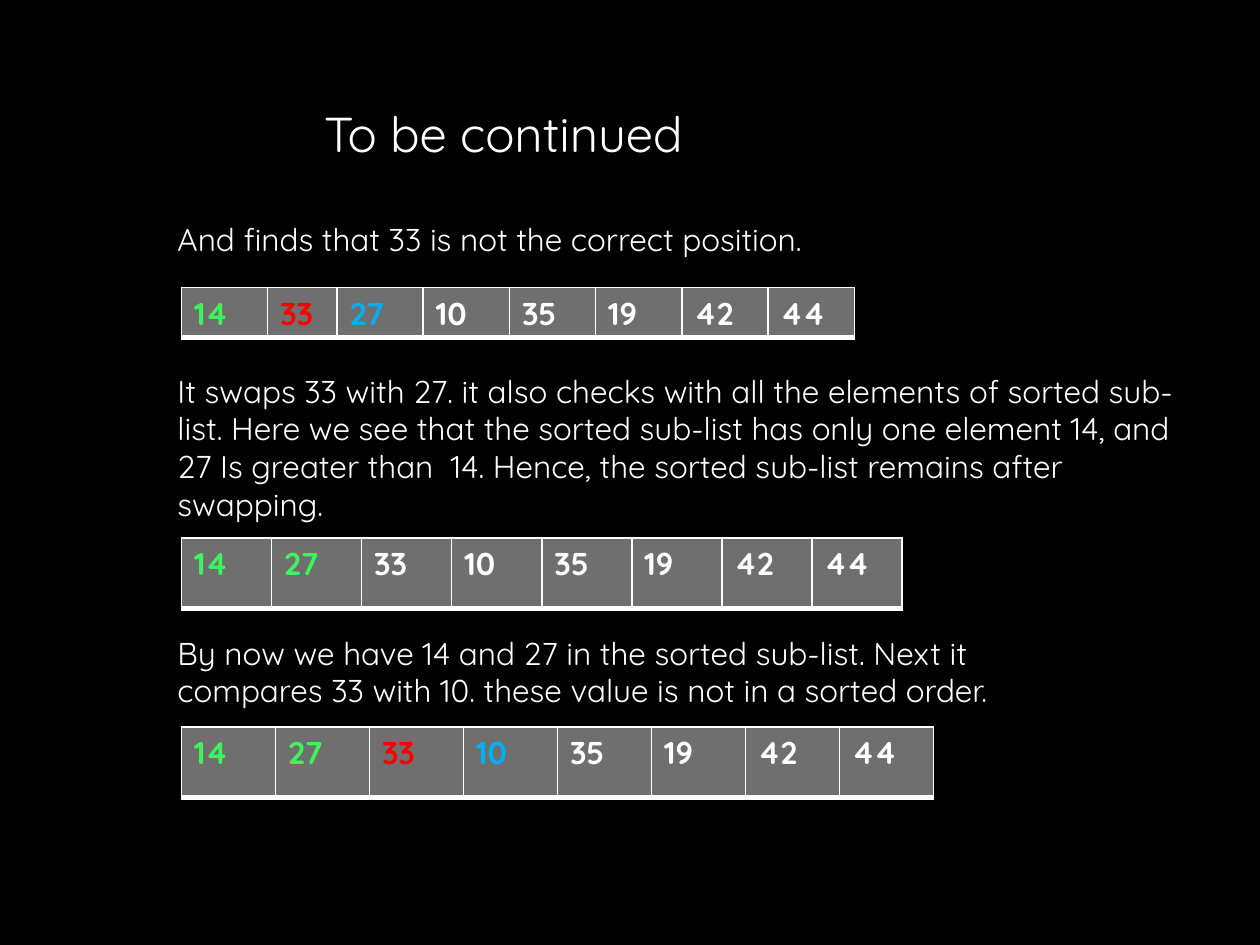
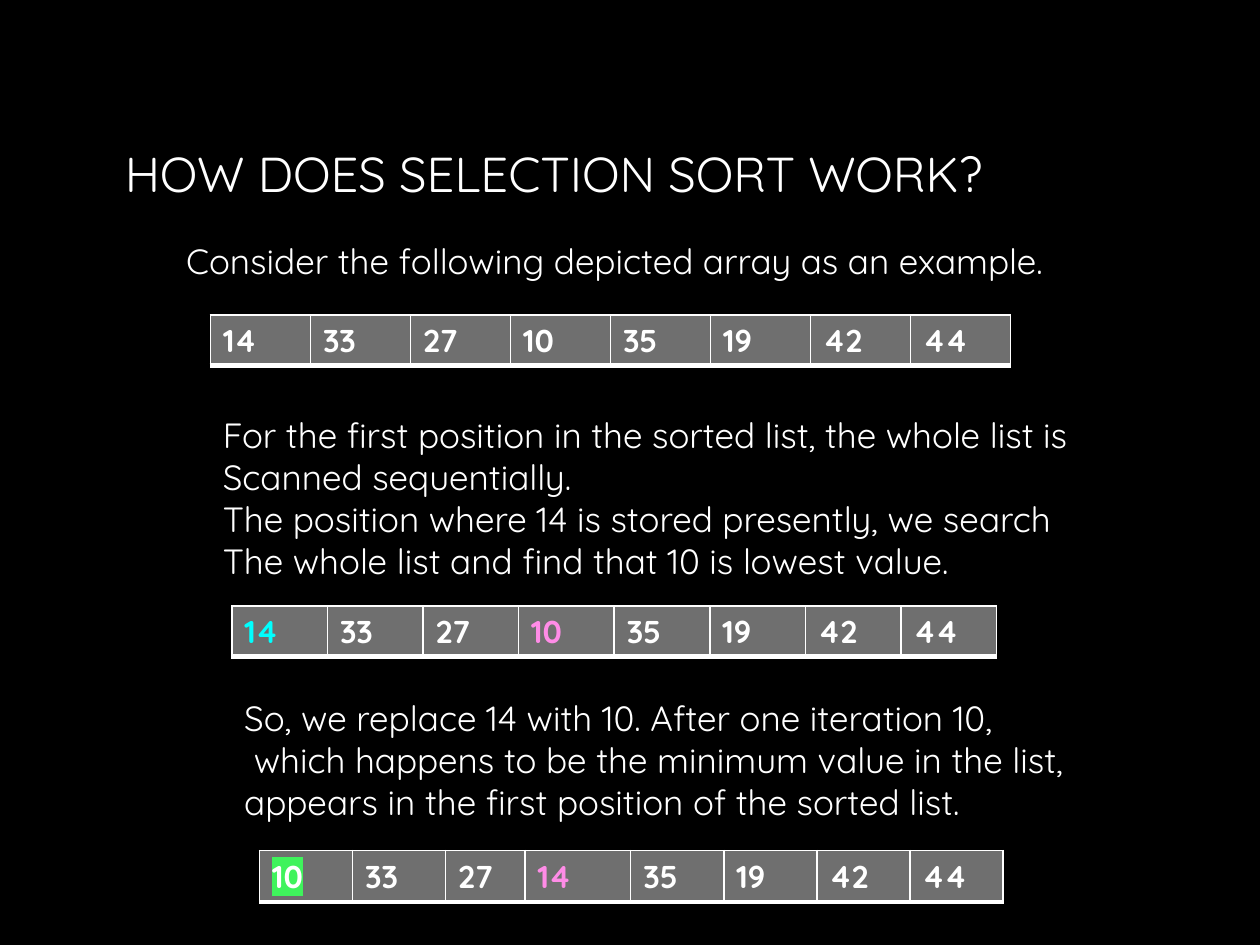
import pptx
import pptx.dml.color
import pptx.enum.text
import pptx.oxml
import pptx.oxml.ns
import pptx.util
from pptx.util import Inches

# Shared look
FONT = "Quicksand"
COLORS = {
    "black": "000000", "white": "FFFFFF", "grey": "6F6F6F",
    "green": "3FF35C", "red": "FF0000", "blue": "00B0F0",
    "cyan": "00FFFE", "pink": "FF8CE7",
}
BORDERS = {"lnL": 1, "lnR": 1, "lnT": 1, "lnB": 3}
TITLE_SIZE, CELL_SIZE = 28, 18
ALIGN = pptx.enum.text.PP_ALIGN
ANCHOR = pptx.enum.text.MSO_ANCHOR

# Content: boxes are (left, top, width, height) in inches.
# In an array, "marks" colours values, "widths" fixes single columns by index.
SLIDES = [
    {
        "title": {"text": "To be continued", "box": (2.33, 0.77, 3.33, 0.57),
                  "align": ALIGN.CENTER, "anchor": ANCHOR.TOP},
        "size": 18,
        "texts": [
            ((1.31, 1.7, 5.48, 0.4),
             ["And finds that 33 is not the correct position."]),
            ((1.31, 2.9, 8.21, 1.31),
             ["It swaps 33 with 27. it also checks with all the elements of "
              "sorted sub-list. Here we see that the sorted sub-list has only "
              "one element 14, and 27 Is greater than  14. Hence, the sorted "
              "sub-list remains after swapping."]),
            ((1.31, 4.98, 7.67, 0.71),
             ["By now we have 14 and 27 in the sorted sub-list. Next it "
              "compares 33 with 10. these value is not in a sorted order."]),
        ],
        "arrays": [
            {"box": (1.44, 2.28, 5.34, 0.4), "widths": {1: 0.55},
             "values": [14, 33, 27, 10, 35, 19, 42, 44],
             "marks": {14: "green", 33: "red", 27: "blue"}},
            {"box": (1.44, 4.27, 5.72, 0.56),
             "values": [14, 27, 33, 10, 35, 19, 42, 44],
             "marks": {14: "green", 27: "green"}},
            {"box": (1.44, 5.77, 5.97, 0.56),
             "values": [14, 27, 33, 10, 35, 19, 42, 44],
             "marks": {14: "green", 27: "green", 33: "red", 10: "blue"}},
        ],
    },
    {
        "title": {"text": "HOW DOES SELECTION SORT WORK?",
                  "box": (0.89, 0.65, 8.21, 1.44),
                  "align": ALIGN.LEFT, "anchor": ANCHOR.MIDDLE},
        "size": 20,
        "texts": [
            ((1.38, 1.85, 7.53, 0.44),
             ["Consider the following depicted array as an example."]),
            ((1.67, 3.23, 7.23, 1.45),
             ["For the first position in the sorted list, the whole list is",
              "Scanned sequentially.",
              "The position where 14 is stored presently, we search",
              "The whole list and find that 10 is lowest value."]),
            ((1.84, 5.48, 7.24, 1.11),
             ["So, we replace 14 with 10. After one iteration 10,",
              " which happens to be the minimum value in the list,",
              "appears in the first position of the sorted list."]),
        ],
        "arrays": [
            {"box": (1.67, 2.5, 6.35, 0.4),
             "values": [14, 33, 27, 10, 35, 19, 42, 44]},
            {"box": (1.84, 4.81, 6.07, 0.4),
             "values": [14, 33, 27, 10, 35, 19, 42, 44],
             "marks": {14: "cyan", 10: "pink"}},
            {"box": (2.06, 6.75, 5.9, 0.41), "widths": {2: 0.63, 3: 0.84},
             "values": [10, 33, 27, 14, 35, 19, 42, 44],
             "marks": {14: "pink"}, "highlights": {10: "green"}},
        ],
    },
]


def rgb(name):
    return pptx.dml.color.RGBColor.from_string(COLORS[name])


def xml(template):
    ns = pptx.oxml.ns.nsdecls("a")
    return pptx.oxml.parse_xml(template.replace(" NS", " " + ns, 1))


def add_run(p, text, size, color="white", bold=False):
    r = p.add_run()
    r.text = text
    style = {"name": FONT, "size": pptx.util.Pt(size), "bold": bold}
    for key, value in style.items():
        setattr(r.font, key, value)
    r.font.color.rgb = rgb(color)
    return r


def add_title(s, title):
    sp = s.shapes.title
    for key, value in zip(("left", "top", "width", "height"), title["box"]):
        setattr(sp, key, Inches(value))
    tf = sp.text_frame
    style = {"word_wrap": True, "vertical_anchor": title["anchor"],
             "auto_size": pptx.enum.text.MSO_AUTO_SIZE.NONE}
    for key, value in style.items():
        setattr(tf, key, value)
    p = tf.paragraphs[0]
    p.alignment = title["align"]
    add_run(p, title["text"], TITLE_SIZE)


def add_text(s, box, lines, size):
    tf = s.shapes.add_textbox(*map(Inches, box)).text_frame
    tf.word_wrap = True
    for i, line in enumerate(lines):
        p = tf.add_paragraph() if i else tf.paragraphs[0]
        add_run(p, line, size)


def set_borders(cell):
    tc_pr = cell._tc.get_or_add_tcPr()
    for i, (tag, width) in enumerate(BORDERS.items()):
        tc_pr.insert(i, xml(
            f'<a:{tag} NS w="{pptx.util.Pt(width)}"><a:solidFill>'
            f'<a:srgbClr val="{COLORS["white"]}"/></a:solidFill></a:{tag}>'))


def highlight(r, color):
    fill = r._r.rPr.find(pptx.oxml.ns.qn("a:solidFill"))
    fill.addnext(xml(f'<a:highlight NS><a:srgbClr val="{COLORS[color]}"/>'
                     '</a:highlight>'))


def add_array(s, box, values, marks={}, widths={}, highlights={}):
    table = s.shapes.add_table(1, len(values), *map(Inches, box)).table
    table.first_row = table.horz_banding = False
    # Columns without a fixed width share the rest equally
    share = (box[2] - sum(widths.values())) / (len(values) - len(widths))
    for i, value in enumerate(values):
        table.columns[i].width = Inches(widths.get(i, share))
        cell = table.cell(0, i)
        cell.fill.solid()
        cell.fill.fore_color.rgb = rgb("grey")
        set_borders(cell)
        r = add_run(cell.text_frame.paragraphs[0], str(value), CELL_SIZE,
                    marks.get(value, "white"), bold=True)
        if value in highlights:
            highlight(r, highlights[value])


def main():
    prs = pptx.Presentation()
    prs.slide_width, prs.slide_height = Inches(10), Inches(7.5)
    background = prs.slide_master.background.fill
    background.solid()
    background.fore_color.rgb = rgb("black")
    title_only = prs.slide_layouts.get_by_name("Title Only")

    for content in SLIDES:
        s = prs.slides.add_slide(title_only)
        add_title(s, content["title"])
        for box, lines in content["texts"]:
            add_text(s, box, lines, content["size"])
        for array in content["arrays"]:
            add_array(s, **array)

    prs.save("out.pptx")


if __name__ == "__main__":
    main()
